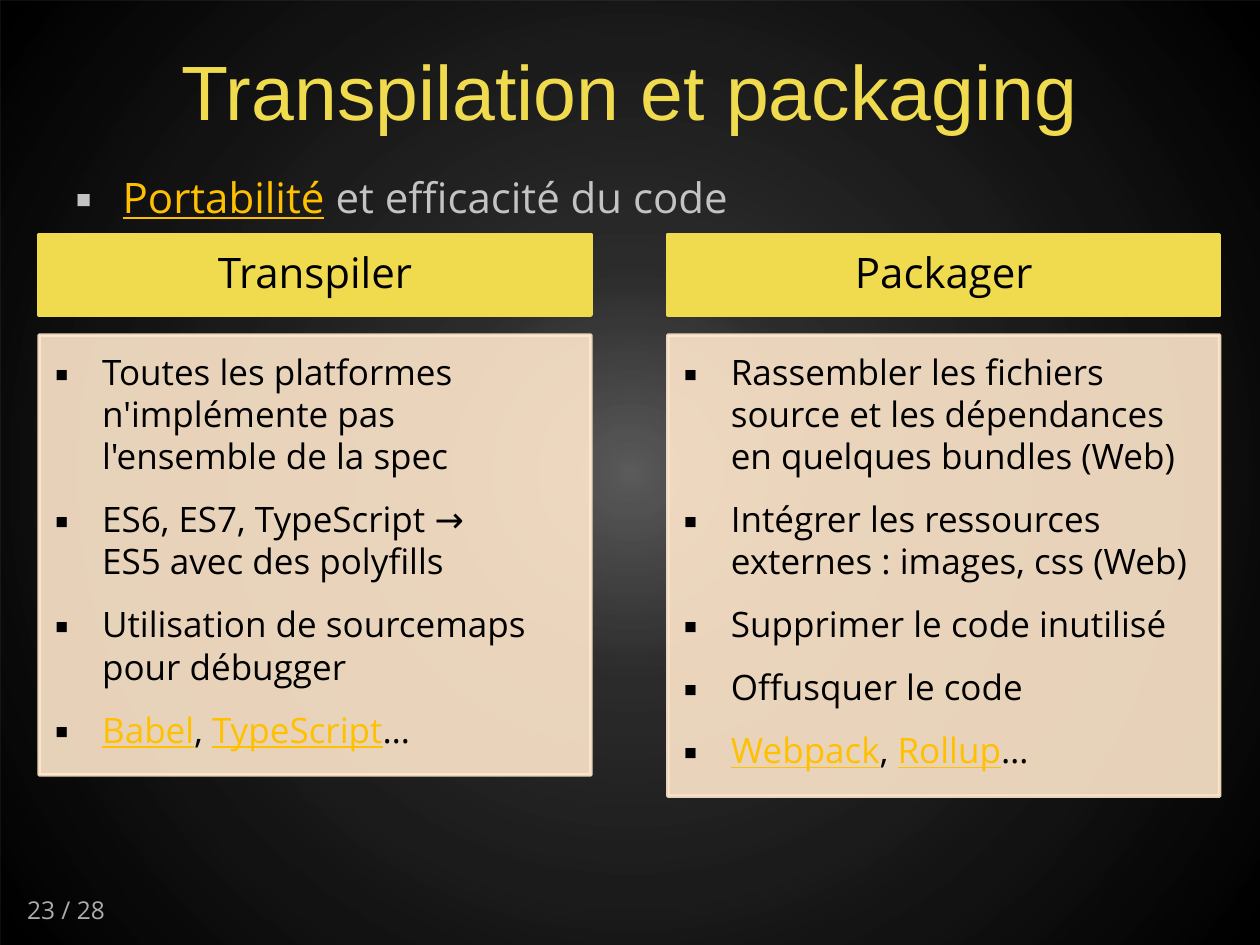
from lxml import etree
from pptx import Presentation
from pptx.dml.color import RGBColor
from pptx.enum.shapes import MSO_SHAPE as Shape
from pptx.enum.text import MSO_ANCHOR as Anchor, PP_ALIGN as Align
from pptx.oxml import parse_xml
from pptx.oxml.ns import qn
from pptx.util import Pt

BLACK = RGBColor(0x00, 0x00, 0x00)
BACK = RGBColor(0xE6, 0xE6, 0xE6)
YELLOW = RGBColor(0xF0, 0xDB, 0x4F)
GOLD = RGBColor(0xFF, 0xC0, 0x00)
CREAM = RGBColor(0xFF, 0xE8, 0xCC)
SILVER = RGBColor(0xC3, 0xC3, 0xC3)
GREY = RGBColor(0xAC, 0xAC, 0xAC)
SANS = "Open Sans"

GLOW = """<a:gradFill xmlns:a="http://schemas.openxmlformats.org/drawingml/2006/main" rotWithShape="1">
<a:gsLst>
<a:gs pos="0"><a:srgbClr val="000000"><a:alpha val="60000"/></a:srgbClr></a:gs>
<a:gs pos="25000"><a:srgbClr val="000000"><a:alpha val="80000"/></a:srgbClr></a:gs>
<a:gs pos="100000"><a:srgbClr val="000000"/></a:gs>
</a:gsLst>
<a:path path="circle"><a:fillToRect l="50000" t="50000" r="50000" b="50000"/></a:path>
</a:gradFill>"""


def write(para, runs, size, color, font=SANS):
    for text, link in runs:
        if text == "\n":
            para.add_line_break()
            continue
        run = para.add_run()
        run.text = text
        run.font.name = font
        run.font.size = Pt(size)
        run.font.color.rgb = GOLD if link else color
        if link:
            run.font.underline = True


def bullet(para, color):
    props = para._p.get_or_add_pPr()
    props.set("marL", str(Pt(27)))
    props.set("indent", str(Pt(-27)))
    tint = etree.SubElement(props, qn("a:buClr"))
    etree.SubElement(tint, qn("a:srgbClr"), val=str(color))
    etree.SubElement(props, qn("a:buFont"), typeface=SANS)
    etree.SubElement(props, qn("a:buChar"), char="▪")


deck = Presentation()
deck.slide_width, deck.slide_height = Pt(720), Pt(540)
slide = deck.slides.add_slide(deck.slide_layouts[6])
shapes = slide.shapes
slide.background.fill.solid()
slide.background.fill.fore_color.rgb = BACK

shade = shapes.add_shape(Shape.RECTANGLE, 0, 0, Pt(720), Pt(540))
shade.shadow.inherit = False
shade.line.fill.background()
shade.fill.background()
blank = shade._element.spPr.find(qn("a:noFill"))
blank.getparent().replace(blank, parse_xml(GLOW))

number = shapes.add_textbox(Pt(8.4), Pt(508.2), Pt(85), Pt(24.2)).text_frame
number.word_wrap = True
write(number.paragraphs[0], [("23 / 28", False)], 14, GREY)

title = shapes.add_textbox(Pt(36), Pt(21), Pt(648), Pt(60.5)).text_frame
title.word_wrap = True
title.vertical_anchor = Anchor.MIDDLE
title.paragraphs[0].alignment = Align.CENTER
write(title.paragraphs[0], [("Transpilation et packaging", False)], 44, YELLOW, "Arial")

body = shapes.add_textbox(Pt(36), Pt(94.3), Pt(648), Pt(414)).text_frame
body.word_wrap = True
bullet(body.paragraphs[0], SILVER)
write(body.paragraphs[0], [("Portabilité", True), (" et efficacité du code", False)], 24, SILVER)

COLUMNS = [
    (22.3, "Transpiler", 251.3, [
        [("Toutes les platformes n'implémente pas l'ensemble de la spec", False)],
        [("ES6, ES7, TypeScript →", False), ("\n", False), ("ES5 avec des polyfills", False)],
        [("Utilisation de sourcemaps pour débugger", False)],
        [("Babel", True), (", ", False), ("TypeScript", True), ("…", False)],
    ]),
    (381.6, "Packager", 263.5, [
        [("Rassembler les fichiers source et les dépendances en quelques bundles (Web)", False)],
        [("Intégrer les ressources externes : images, css (Web)", False)],
        [("Supprimer le code inutilisé", False)],
        [("Offusquer le code", False)],
        [("Webpack", True), (", ", False), ("Rollup", True), ("…", False)],
    ]),
]

for left, name, height, items in COLUMNS:
    head = shapes.add_shape(Shape.RECTANGLE, Pt(left), Pt(134), Pt(315.4), Pt(46))
    card = shapes.add_shape(Shape.RECTANGLE, Pt(left), Pt(191.5), Pt(315.4), Pt(height))
    for box, color in ((head, YELLOW), (card, CREAM)):
        box.shadow.inherit = False
        box.fill.solid()
        box.fill.fore_color.rgb = color
        box.line.color.rgb = color
        box.line.width = Pt(2)
        box.text_frame.word_wrap = True
    for tone in card._element.spPr.iter(qn("a:srgbClr")):
        etree.SubElement(tone, qn("a:alpha"), val="90000")

    frame = head.text_frame
    frame.vertical_anchor = Anchor.MIDDLE
    frame.margin_left = frame.margin_right = Pt(13.7)
    frame.margin_top = frame.margin_bottom = Pt(8)
    para = frame.paragraphs[0]
    para.alignment = Align.CENTER
    para.line_spacing = 0.9
    write(para, [(name, False)], 24, BLACK)

    frame = card.text_frame
    frame.vertical_anchor = Anchor.TOP
    frame.margin_left = frame.margin_top = Pt(9)
    frame.margin_right, frame.margin_bottom = Pt(11.5), Pt(12)
    for i, runs in enumerate(items):
        para = frame.add_paragraph() if i else frame.paragraphs[0]
        para.alignment = Align.LEFT
        para.space_after = Pt(12)
        bullet(para, BLACK)
        write(para, runs, 20, BLACK)

deck.save("out.pptx")
